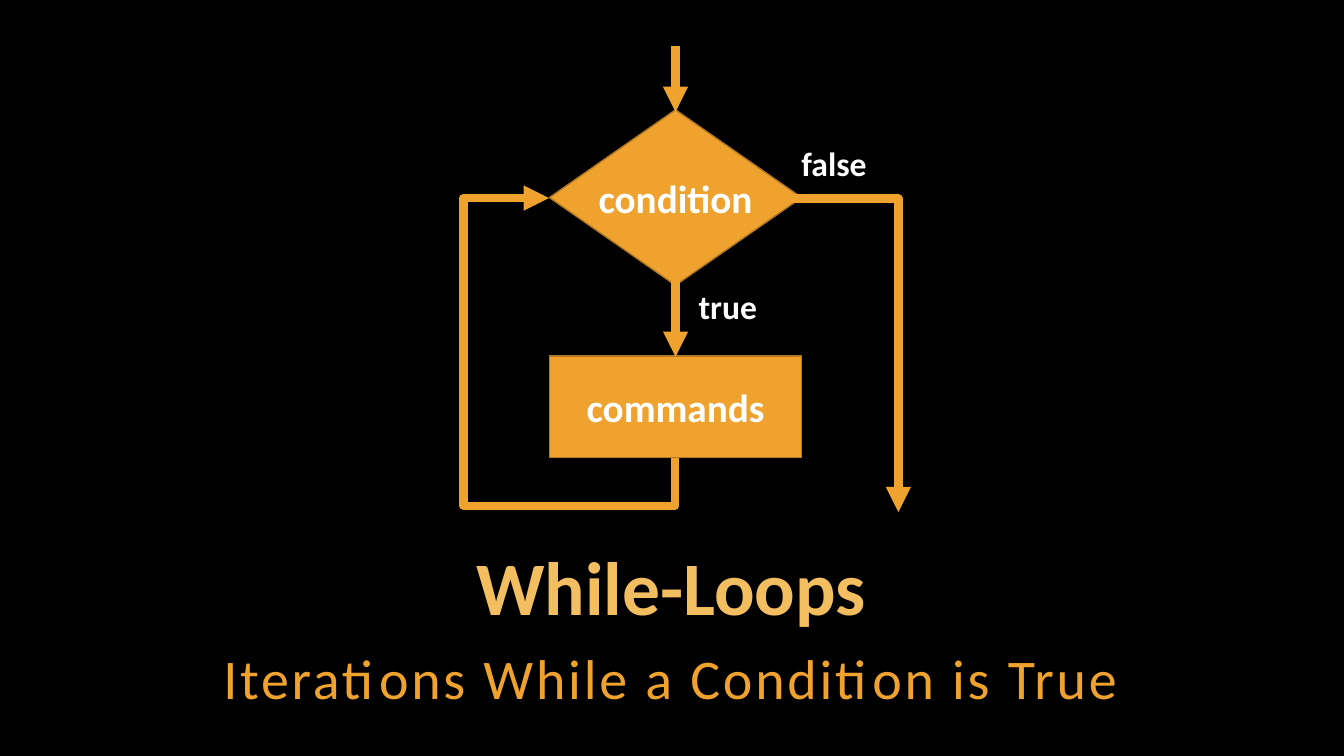
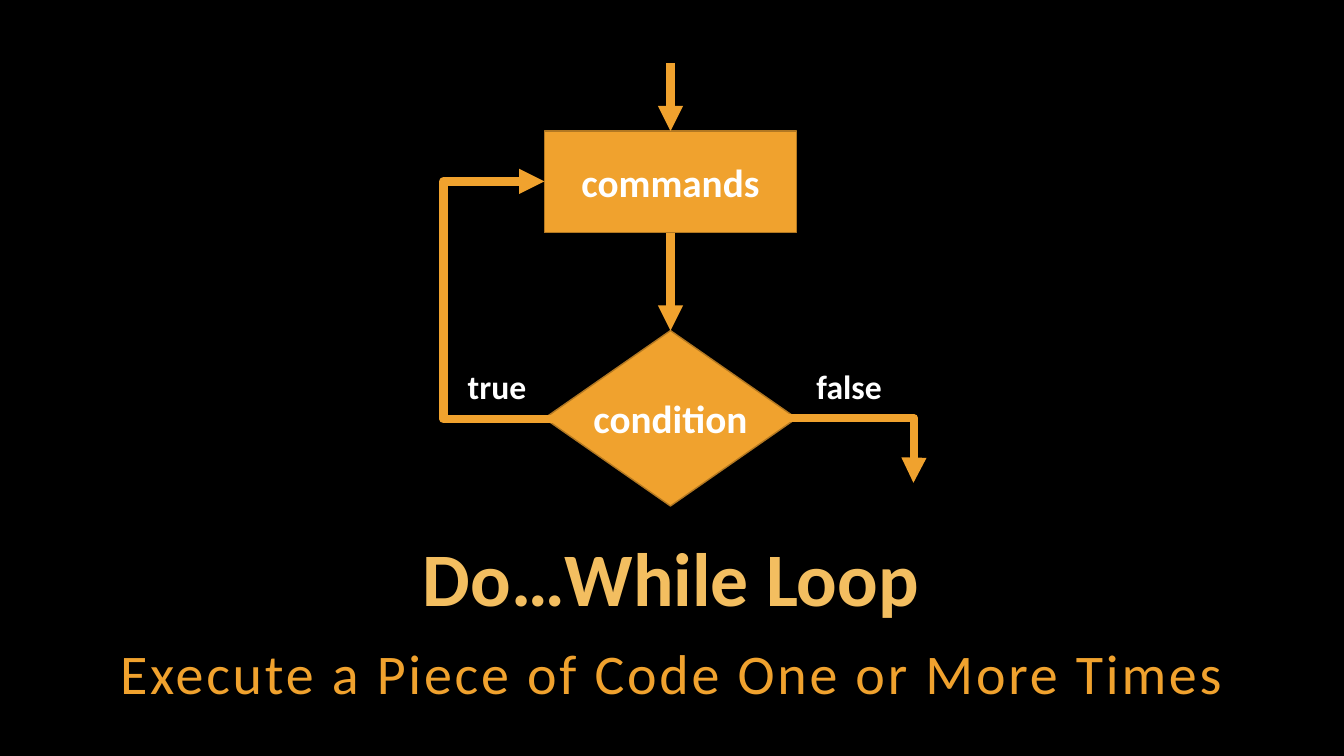
from lxml import etree
from pptx import Presentation
from pptx.dml.color import RGBColor
from pptx.enum.shapes import MSO_CONNECTOR, MSO_SHAPE
from pptx.enum.text import MSO_ANCHOR, PP_ALIGN
from pptx.oxml.ns import qn
from pptx.util import Pt

PX = 9144  # 100 px to the inch
FONT = "Calibri"
BLACK = RGBColor(0x00, 0x00, 0x00)
WHITE = RGBColor(0xFF, 0xFF, 0xFF)
ORANGE = RGBColor(0xF0, 0xA2, 0x2E)
BROWN = RGBColor(0xB2, 0x78, 0x22)
GOLD = RGBColor(0xF3, 0xBE, 0x60)
STRAIGHT, ELBOW = MSO_CONNECTOR.STRAIGHT, MSO_CONNECTOR.ELBOW
DECISION, RECTANGLE = MSO_SHAPE.FLOWCHART_DECISION, MSO_SHAPE.RECTANGLE
LEFT, CENTER = PP_ALIGN.LEFT, PP_ALIGN.CENTER
TOP, MIDDLE = MSO_ANCHOR.TOP, MSO_ANCHOR.MIDDLE

BOX_WIDTH = 250
BOX_HEIGHTS = {DECISION: 174, RECTANGLE: 101}
LABEL_WIDTHS = {"true": 79, "false": 86}

# Boxes: shape, text, left, top. Labels: text, left, top.
# Arrows: begin x, begin y, end x, end y.
# Elbows: the same before turning, then degrees, preset, adjustments.
SLIDES = [
    {
        "title": ("While-Loops", 128, 546, 1075, 85),
        "subtitle": ("Iterations While a Condition is True", 128, 631, 1075, 75),
        "boxes": [(RECTANGLE, "commands", 545, 353), (DECISION, "condition", 545, 109)],
        "arrows": [(670, 46, 670, 111), (670, 254, 670, 354)],
        "labels": [("true", 683, 279), ("false", 785, 137)],
        "elbows": [
            (993, 298, 681, 406, 270, "bentConnector3", [300]),
            (736, 263, 478, 388, 90, "bentConnector4", [-18300, 167800]),
        ],
    },
    {
        "title": ("Do…While Loop", 128, 537, 1075, 85),
        "subtitle": ("Execute a Piece of Code One or More Times", 75, 626, 1183, 79),
        "boxes": [(DECISION, "condition", 540, 328), (RECTANGLE, "commands", 540, 130)],
        "arrows": [(665, 63, 665, 130), (665, 231, 665, 328)],
        "labels": [("false", 800, 358), ("true", 454, 358)],
        "elbows": [
            (439, 315, 675, 281, 270, "bentConnector4", [100, 394800]),
            (773, 415, 906, 479, 0, "bentConnector3", [100400]),
        ],
    },
]


def write(shape, text, size, color, bold=True, align=CENTER, anchor=MIDDLE, wrap=False):
    frame = shape.text_frame
    frame.word_wrap = wrap
    frame.vertical_anchor = anchor
    para = frame.paragraphs[0]
    para.text = text
    para.alignment = align
    font = para.font
    font.name, font.size, font.bold = FONT, Pt(size), bold
    font.color.rgb = color
    return frame, para


def add_arrow(shapes, kind, ends):
    arrow = shapes.add_connector(kind, *[value * PX for value in ends])
    arrow.line.color.rgb = ORANGE
    arrow.line.width = Pt(6)
    etree.SubElement(arrow.line._get_or_add_ln(), qn("a:tailEnd"), type="triangle")
    etree.SubElement(arrow._element.spPr, qn("a:effectLst"))
    return arrow


deck = Presentation()
deck.slide_width, deck.slide_height = 1333 * PX, 750 * PX

for content in SLIDES:
    page = deck.slides.add_slide(deck.slide_layouts[6])
    page.background.fill.solid()
    page.background.fill.fore_color.rgb = BLACK

    # Title and subtitle
    text, *place = content["title"]
    title = page.shapes.add_textbox(*[value * PX for value in place])
    title_frame, title_para = write(title, text, 54, GOLD, wrap=True)
    title_para.line_spacing = Pt(54)

    text, *place = content["subtitle"]
    subtitle = page.shapes.add_textbox(*[value * PX for value in place])
    subtitle_frame, subtitle_para = write(
        subtitle, text, 40, ORANGE, bold=False, anchor=TOP, wrap=True)
    subtitle_para.line_spacing = 1.05
    subtitle_para.space_after = Pt(6)
    subtitle_para._p.pPr.find(qn("a:defRPr")).set("spc", "200")

    for frame in (title_frame, subtitle_frame):
        frame.margin_left = frame.margin_right = 4 * PX
        frame.margin_top = frame.margin_bottom = 4 * PX

    # Flowchart boxes
    chart = page.shapes.add_group_shape().shapes
    for kind, text, left, top in content["boxes"]:
        box = chart.add_shape(
            kind, left * PX, top * PX, BOX_WIDTH * PX, BOX_HEIGHTS[kind] * PX)
        box.shadow.inherit = False
        box.fill.solid()
        box.fill.fore_color.rgb = ORANGE
        box.line.color.rgb = BROWN
        box.line.width = Pt(1)
        write(box, text, 28, WHITE)

    # Branch labels
    for text, left, top in content["labels"]:
        label = chart.add_textbox(left * PX, top * PX, LABEL_WIDTHS[text] * PX, 50 * PX)
        write(label, text, 24, WHITE, align=LEFT, anchor=TOP)

    # Straight and bent arrows
    for ends in content["arrows"]:
        add_arrow(chart, STRAIGHT, ends)

    for *ends, degrees, preset, adjustments in content["elbows"]:
        properties = add_arrow(chart, ELBOW, ends)._element.spPr
        properties.find(qn("a:xfrm")).set("rot", str(degrees * 60000))
        geometry = properties.find(qn("a:prstGeom"))
        geometry.set("prst", preset)
        guides = geometry.find(qn("a:avLst"))
        for number, value in enumerate(adjustments, 1):
            etree.SubElement(guides, qn("a:gd"), name=f"adj{number}", fmla=f"val {value}")

deck.save("out.pptx")
